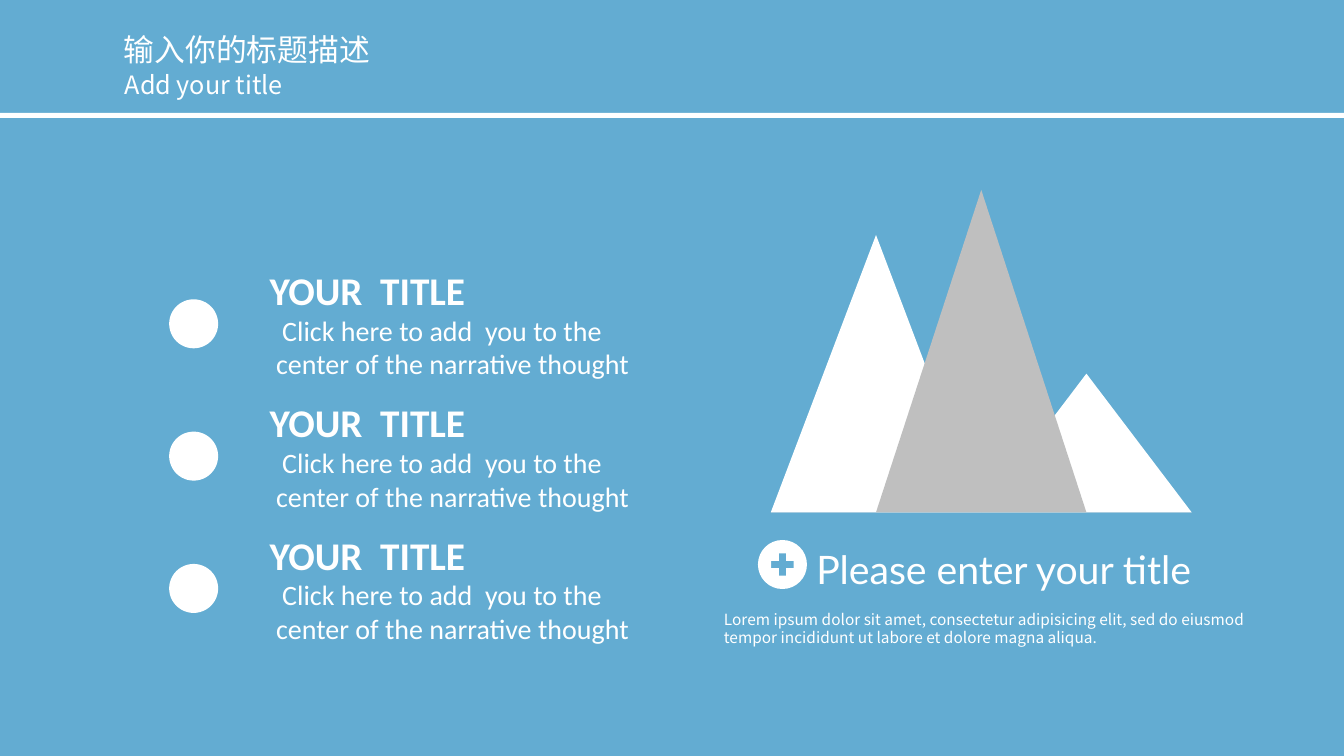
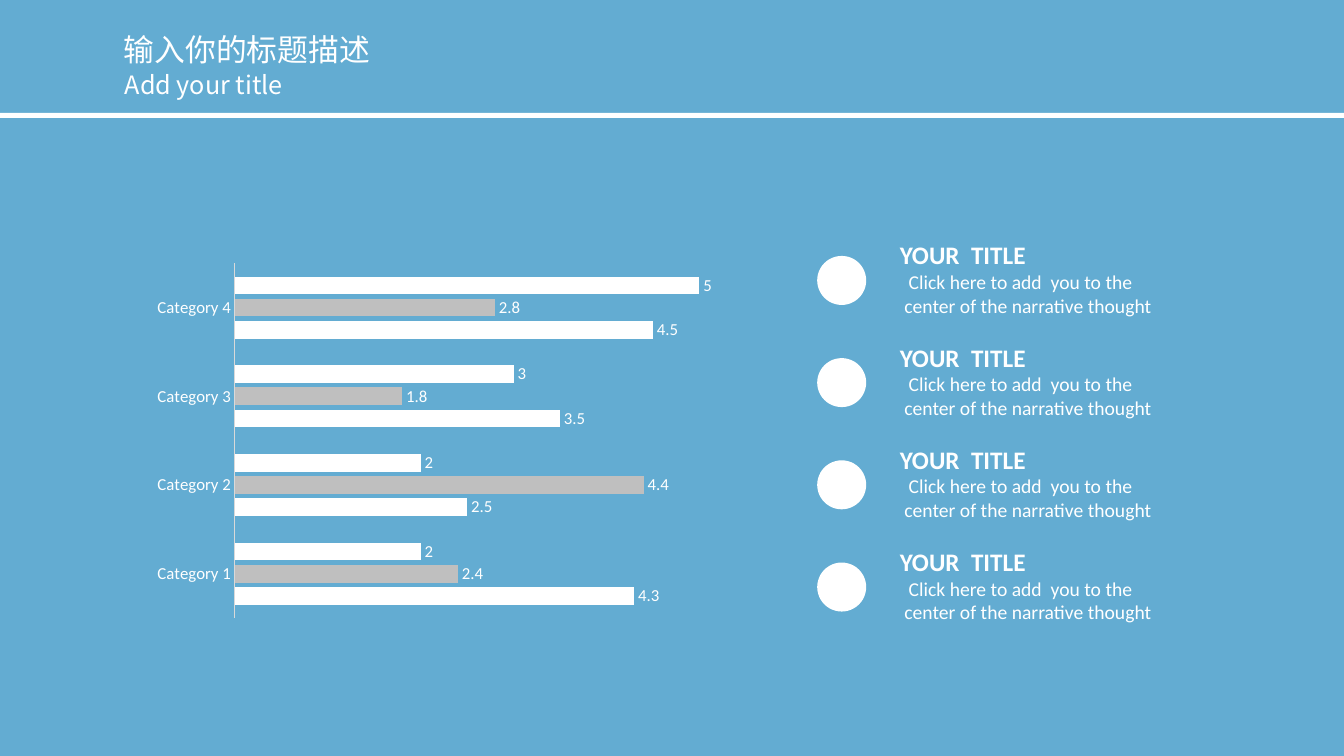
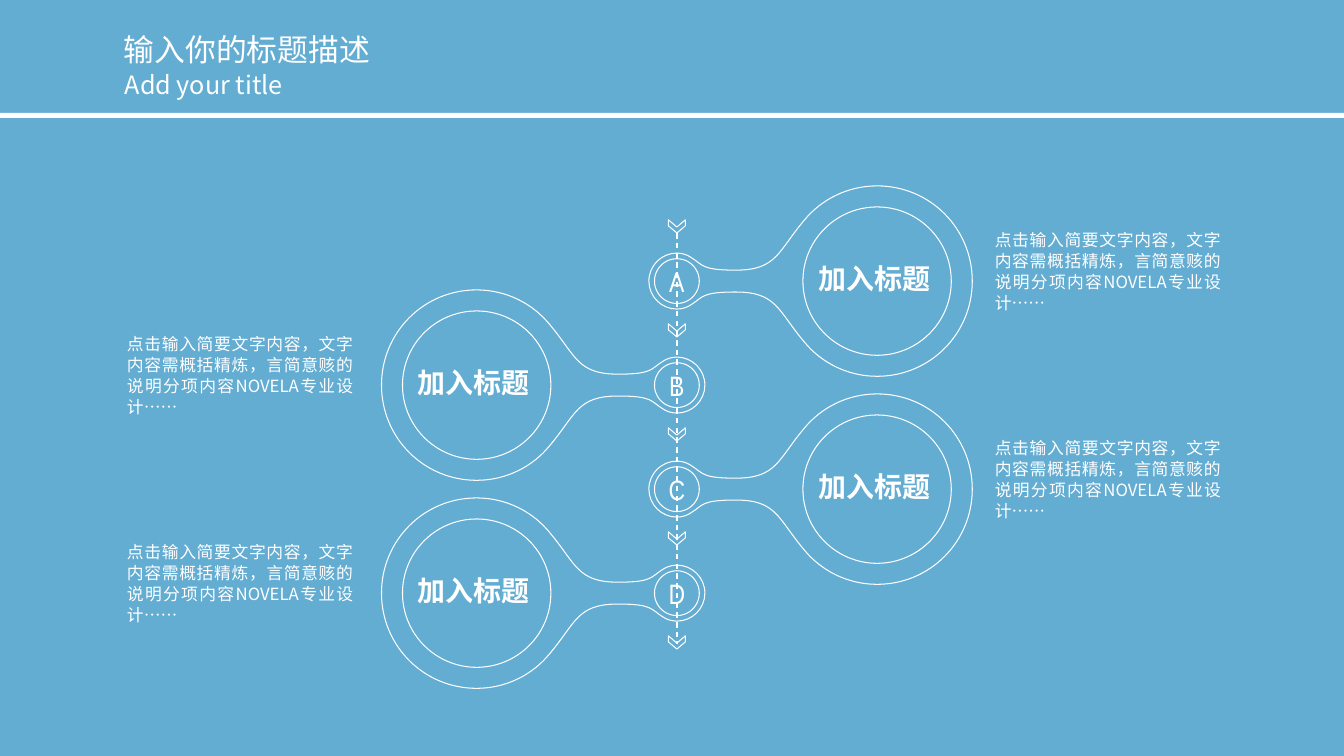
"""Build three blue slides: peaks, a bar chart and a linked timeline."""
from lxml import etree
from pptx import Presentation
from pptx.chart.data import CategoryChartData
from pptx.dml.color import RGBColor
from pptx.enum.chart import XL_CHART_TYPE, XL_LABEL_POSITION, XL_TICK_MARK
from pptx.enum.dml import MSO_LINE
from pptx.enum.shapes import MSO_CONNECTOR, MSO_SHAPE
from pptx.enum.text import MSO_ANCHOR, MSO_AUTO_SIZE, PP_ALIGN
from pptx.oxml.ns import qn
from pptx.util import Pt

RECT, OVAL = MSO_SHAPE.RECTANGLE, MSO_SHAPE.OVAL
LEFT, CENTER, JUSTIFY = PP_ALIGN.LEFT, PP_ALIGN.CENTER, PP_ALIGN.JUSTIFY
MIDDLE = MSO_ANCHOR.MIDDLE
GROW = MSO_AUTO_SIZE.SHAPE_TO_FIT_TEXT
STRAIGHT, DASH = MSO_CONNECTOR.STRAIGHT, MSO_LINE.DASH
AREA, BARS = XL_CHART_TYPE.AREA, XL_CHART_TYPE.BAR_CLUSTERED
NO_TICK, OUTSIDE = XL_TICK_MARK.NONE, XL_LABEL_POSITION.OUTSIDE_END

WIDTH, HEIGHT = 960, 540
BLUE, WHITE, GREY, PALE = "278CC1", "FFFFFF", "BFBFBF", "D9D9D9"
CJK, LATIN = "Noto Sans CJK SC", "Calibri"
DISC = 35
HUB_X, HUB_Y, STEP, REACH = 483.5, 200.8, 74.3, 143
NOTE = "点击输入简要文字内容，文字内容需概括精炼，言简意赅的说明分项内容NOVELA专业设计……"
LOREM = ("Lorem ipsum dolor sit amet, consectetur adipisicing elit, sed do eiusmod "
         "tempor incididunt ut labore et dolore magna aliqua.")
LINK_UPPER = [
    (-20, 0),
    (-20, -11), (-11, -20), (0, -20),
    (3.8, -20), (7.4, -18.8), (10.3, -16.8),
    (18.8, -11.5), (17.3, -7.8), (42, -7.8),
    (71.3, -7.8), (72, -20.9), (90.8, -43.2),
    (103, -58.3), (122, -68), (143, -68),
    (181, -68), (211, -37.5), (211, 0),
]
BADGE_UPPER = [(-17.5, 0), (-17.5, -9.7), (-9.7, -17.5), (0, -17.5),
               (9.7, -17.5), (17.5, -9.7), (17.5, 0)]
CHEVRON = [(0, 5.2), (6.1, 0), (6.1, 4.3), (0, 9.4), (-6.1, 4.3), (-6.1, 0)]
PLUS = [(-2.6, -8), (-2.6, -2.6), (-8, -2.6), (-8, 2.6), (-2.6, 2.6), (-2.6, 8),
        (2.6, 8), (2.6, 2.6), (8, 2.6), (8, -2.6), (2.6, -2.6), (2.6, -8)]


def color(value):
    """Turn a hex string into a colour."""
    return RGBColor.from_string(value)


def set_all(target, values):
    """Set each attribute named in a dict."""
    for name, value in values.items():
        setattr(target, name, value)


def paint(shape, fill=None, line=None):
    """Give a shape its fill and thin outline, and no shadow."""
    shape.shadow.inherit = False
    if fill:
        shape.fill.solid()
        shape.fill.fore_color.rgb = color(fill)
    else:
        shape.fill.background()
    if line:
        shape.line.color.rgb = color(line)
        shape.line.width = Pt(0.75)
    else:
        shape.line.fill.background()
    return shape


def add_preset(page, kind, x, y, w, h, **look):
    """Add a painted preset shape."""
    return paint(page.shapes.add_shape(kind, Pt(x), Pt(y), Pt(w), Pt(h)), **look)


def add_ring(page, x, y, size):
    """Add an outlined circle around a centre."""
    return add_preset(page, OVAL, x - size / 2, y - size / 2, size, size, line=WHITE)


def mirrored(upper):
    """Close an upper half outline with its reflection."""
    return upper + [(x, -y) for x, y in upper[-2::-1]]


def bend(shape, count):
    """Turn the first count line points of a freeform into Bezier curves."""
    points = list(shape._element.iter(qn("a:lnTo")))[:count]
    for first, second, third in zip(points[::3], points[1::3], points[2::3]):
        first.tag = qn("a:cubicBezTo")
        for extra in (second, third):
            first.append(extra[0])
            extra.getparent().remove(extra)


def add_outline(page, contours, x, y, curved=0, **look):
    """Add a closed freeform whose contours are relative to x, y."""
    placed = [[(Pt(x + dx), Pt(y + dy)) for dx, dy in contour] for contour in contours]
    builder = page.shapes.build_freeform(*placed[0][0])
    for index, contour in enumerate(placed):
        if index:
            builder.move_to(*contour[0])
        builder.add_line_segments(contour[1:], close=True)
    shape = paint(builder.convert_to_shape(), **look)
    bend(shape, curved)


def write(para, text, size, font=CJK, bold=False, align=LEFT, leading=None, indent=0):
    """Fill a paragraph with one formatted run."""
    para.alignment = align
    if leading:
        para.line_spacing = Pt(leading)
    if indent:
        para._p.get_or_add_pPr().set("marL", str(Pt(indent)))
    span = para.add_run()
    span.text = text
    set_all(span.font, {"size": Pt(size), "name": font, "bold": bold})
    span.font.color.rgb = color(WHITE)
    etree.SubElement(span._r.get_or_add_rPr(), qn("a:ea")).set("typeface", font)


def no_margins(frame):
    """Remove the four insets of a text frame."""
    set_all(frame, {f"margin_{side}": 0 for side in ("left", "top", "right", "bottom")})


def add_text(page, x, y, w, h, lines, wrap=True, tight=False):
    """Add a text box with one paragraph for each dict of lines."""
    frame = page.shapes.add_textbox(Pt(x), Pt(y), Pt(w), Pt(h)).text_frame
    set_all(frame, {"word_wrap": wrap, "auto_size": GROW})
    if tight:
        no_margins(frame)
    for index, line in enumerate(lines):
        write(frame.add_paragraph() if index else frame.paragraphs[0], **line)


def add_page(deck):
    """Add a slide with the shared backdrop, heading and band."""
    page = deck.slides.add_slide(deck.slide_layouts[6])
    backdrop = add_preset(page, RECT, 0, 0, WIDTH, HEIGHT, fill=BLUE)
    tint = backdrop._element.spPr.find(qn("a:solidFill"))[0]
    etree.SubElement(tint, qn("a:alpha")).set("val", "72000")
    add_text(page, 81.4, 18.5, 222, 34, [{"text": "输入你的标题描述", "size": 22}])
    add_text(page, 82, 46, 192, 29, [{"text": "Add your title", "size": 18}])
    add_preset(page, RECT, 0, 80.7, WIDTH, 3.6, fill=WHITE)
    return page


def add_points(page, count, disc, text, box, pitch, sizes):
    """Add a column of discs, each with a heading and two lines."""
    big, small = sizes
    lines = [
        {"text": "YOUR  TITLE", "size": big, "font": LATIN, "bold": True},
        {"text": "Click here to add  you to the", "size": small, "font": LATIN,
         "indent": small * 0.45},
        {"text": "center of the narrative thought", "size": small, "font": LATIN,
         "indent": small * 0.23},
    ]
    for row in range(count):
        down = row * pitch
        add_preset(page, OVAL, disc[0], disc[1] + down, DISC, DISC, fill=WHITE)
        add_text(page, text[0], text[1] + down, *box, lines, wrap=False)


def add_plot(page, kind, place, categories, series, top):
    """Add a chart without legend, gridlines or value axis."""
    data = CategoryChartData()
    data.categories = categories
    for index, (values, _) in enumerate(series, 1):
        data.add_series(f"Series {index}", values)
    chart = page.shapes.add_chart(kind, *map(Pt, place), data).chart
    set_all(chart, {"has_legend": False, "has_title": False})
    set_all(chart.font, {"size": Pt(12), "name": LATIN})
    chart.font.color.rgb = color(WHITE)
    set_all(chart.value_axis, {"visible": False, "has_major_gridlines": False,
                               "minimum_scale": 0, "maximum_scale": top})
    chart.plots[0].vary_by_categories = False
    for item, (_, fill) in zip(chart.plots[0].series, series):
        item.format.fill.solid()
        item.format.fill.fore_color.rgb = color(fill)
    return chart


def fix_plot_area(chart, **shares):
    """Place the inner plot area by shares of the chart frame."""
    area = chart._chartSpace.chart.plotArea
    for old in area.findall(qn("c:layout")):
        area.remove(old)
    layout = etree.Element(qn("c:layout"))
    area.insert(0, layout)
    manual = etree.SubElement(layout, qn("c:manualLayout"))
    values = {"layoutTarget": "inner", "xMode": "edge", "yMode": "edge", **shares}
    for name, value in values.items():
        etree.SubElement(manual, qn(f"c:{name}")).set("val", str(value))


def build_peaks(deck):
    """Build the slide with three peaks and three points."""
    page = add_page(deck)
    series = [((0, 0, 100, 0, 0), GREY), ((0, 86, 0, 0, 0), WHITE), ((0, 0, 0, 43, 0), WHITE)]
    chart = add_plot(page, AREA, (544.3, 115.2, 313.2, 256), list("12345"), series, 100)
    chart.category_axis.visible = False
    fix_plot_area(chart, x=0.02, y=0.08, w=0.96, h=0.9)
    add_outline(page, [mirrored(BADGE_UPPER), PLUS], 558.9, 403.2, curved=12, fill=WHITE)
    add_text(page, 576, 386, 363, 41,
             [{"text": "Please enter your title", "size": 28, "font": "Lato"}])
    add_text(page, 510, 432, 397.5, 34, [{"text": LOREM, "size": 11}])
    add_points(page, 3, (120.8, 213.8), (185.5, 186.7), (273.6, 89.3), 94.5, (28, 20))


def build_bars(deck):
    """Build the slide with the bar chart and four points."""
    page = add_page(deck)
    add_points(page, 4, (583.7, 182.8), (635.7, 167.7), (196.5, 63.4), 73, (18, 14))
    series = [((4.3, 2.5, 3.5, 4.5), WHITE), ((2.4, 4.4, 1.8, 2.8), GREY), ((2, 2, 3, 5), WHITE)]
    names = [f"Category {number}" for number in range(1, 5)]
    chart = add_plot(page, BARS, (103, 182.8, 472.3, 264), names, series, 6)
    set_all(chart.plots[0], {"gap_width": 150, "overlap": -25})
    axis = chart.category_axis
    set_all(axis, {"major_tick_mark": NO_TICK, "minor_tick_mark": NO_TICK})
    axis.format.line.color.rgb = color(PALE)
    axis.format.line.width = Pt(0.75)
    for item in chart.plots[0].series:
        labels = item.data_labels
        set_all(labels, {"show_value": True, "position": OUTSIDE})
        set_all(labels.font, {"size": Pt(12), "name": LATIN})
        labels.font.color.rgb = color(WHITE)


def add_spine(page):
    """Add the dashed line and its chevrons."""
    spine = page.shapes.add_connector(STRAIGHT, Pt(HUB_X), Pt(166.5), Pt(HUB_X), Pt(460))
    spine.line.color.rgb = color(WHITE)
    set_all(spine.line, {"width": Pt(1), "dash_style": DASH})
    etree.SubElement(spine._element.spPr, qn("a:effectLst"))
    for row in range(5):
        add_outline(page, [CHEVRON], HUB_X, 157 + row * STEP, line=WHITE)


def add_stop(page, letter, y, side):
    """Add one lettered stop with its title circle and note."""
    link = [(side * dx, dy) for dx, dy in mirrored(LINK_UPPER)]
    add_outline(page, [link], HUB_X, y, curved=len(link) - 1, line=WHITE)
    middle = HUB_X + side * REACH
    add_ring(page, middle, y, 106)
    frame = add_ring(page, HUB_X, y, 32).text_frame
    no_margins(frame)
    frame.vertical_anchor = MIDDLE
    write(frame.paragraphs[0], letter, 20, "Arial Narrow", align=CENTER)
    add_text(page, middle - 56, y - 14.3, 108, 24.5,
             [{"text": "加入标题", "size": 20, "bold": True, "align": CENTER}], tight=True)
    add_text(page, 710.6 if side > 0 else 90.7, y - 37, 161.6, 60.5,
             [{"text": NOTE, "size": 12, "align": JUSTIFY, "leading": 15}], tight=True)


def build_timeline(deck):
    """Build the slide with four stops along a dashed line."""
    page = add_page(deck)
    add_spine(page)
    for row, letter in enumerate("ABCD"):
        add_stop(page, letter, HUB_Y + row * STEP, -1 if row % 2 else 1)


def main():
    """Build and save the deck."""
    deck = Presentation()
    set_all(deck, {"slide_width": Pt(WIDTH), "slide_height": Pt(HEIGHT)})
    build_peaks(deck)
    build_bars(deck)
    build_timeline(deck)
    deck.save("out.pptx")


if __name__ == "__main__":
    main()
